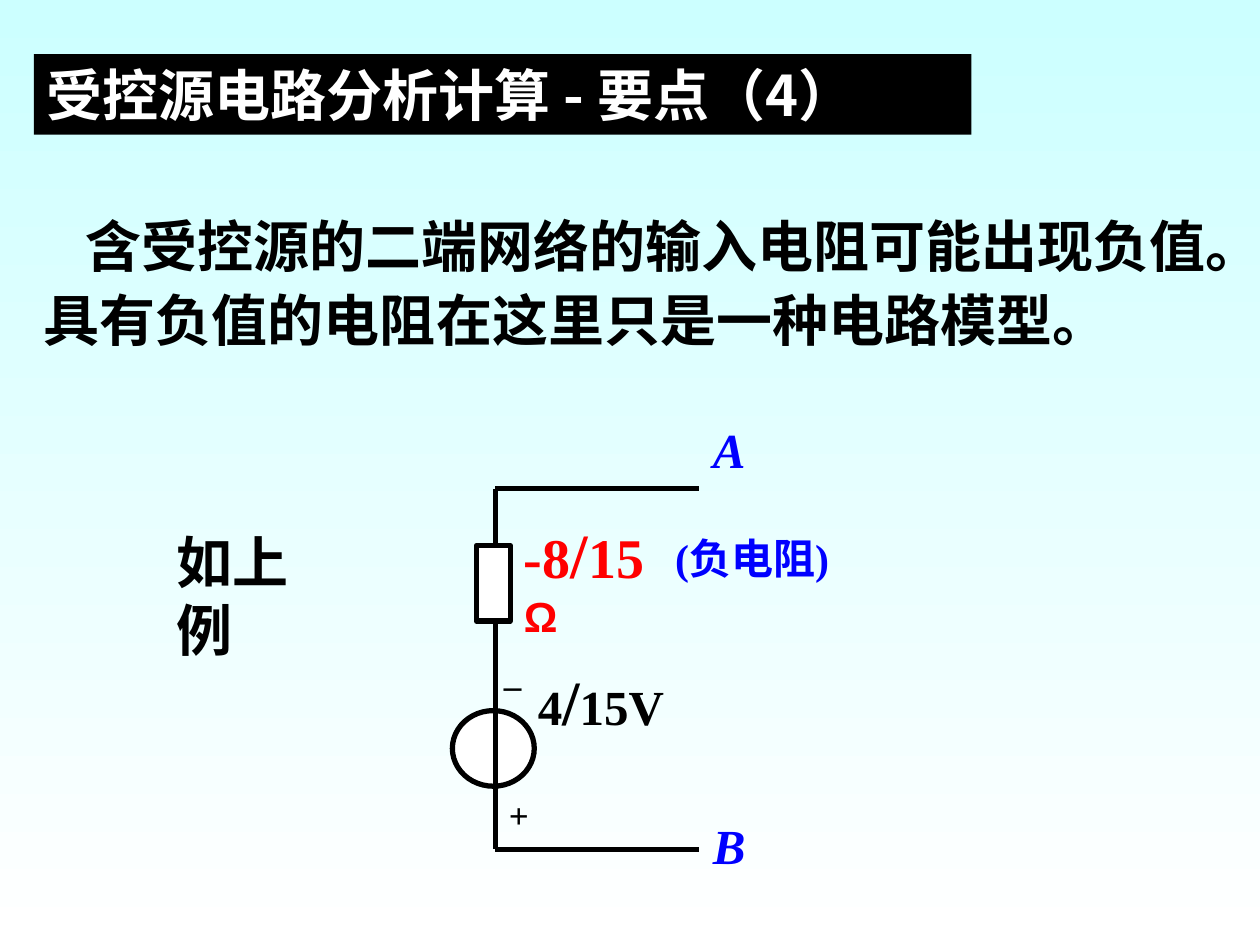
from lxml import etree
from pptx import Presentation, util as u
from pptx.dml.color import RGBColor
from pptx.enum import shapes, text
from pptx.oxml.ns import qn

COLORS = {"black": "000000", "white": "FFFFFF", "sky": "CCFFFF",
          "red": "FF0000", "blue": "0000FF"}
LATIN, CHINESE = "Times New Roman", "Noto Sans CJK SC"


def rgb(name):
    return RGBColor.from_string(COLORS[name])


def write(paragraph, words, size=32, color="black", font=LATIN, italic=False):
    """Add one bold run of text to a paragraph."""
    run = paragraph.add_run()
    run.text = words
    run.font.size = u.Pt(size)
    run.font.bold = True
    run.font.italic = italic
    run.font.name = font
    run.font.color.rgb = rgb(color)
    east_asian = etree.SubElement(run.font._element, qn("a:ea"))
    east_asian.set("typeface", CHINESE)


class CircuitSlide:
    line_width = u.Pt(3)

    def __init__(self, slide):
        self.slide = slide

    def background(self, top, bottom):
        fill = self.slide.background.fill
        fill.gradient()
        fill.gradient_angle = 270
        for stop, color, position in zip(fill.gradient_stops, (top, bottom), (0, 1)):
            stop.color.rgb = rgb(color)
            stop.position = position

    def label(self, box, *runs, wrap=False, fill=None):
        """Place a text box; each run is (words, format)."""
        area = self.slide.shapes.add_textbox(*map(u.Inches, box))
        if fill:
            area.fill.solid()
            area.fill.fore_color.rgb = rgb(fill)
        frame = area.text_frame
        frame.word_wrap = wrap
        frame.auto_size = text.MSO_AUTO_SIZE.SHAPE_TO_FIT_TEXT
        paragraph = frame.paragraphs[0]
        for words, style in runs:
            write(paragraph, words, **style)
        return paragraph

    def component(self, preset, box):
        part = self.slide.shapes.add_shape(preset, *map(u.Inches, box))
        part.shadow.inherit = False
        part.fill.solid()
        part.fill.fore_color.rgb = rgb("white")
        part.line.color.rgb = rgb("black")
        part.line.width = self.line_width

    def wire(self, start, end):
        ends = map(u.Inches, (*start, *end))
        wire = self.slide.shapes.add_connector(shapes.MSO_CONNECTOR.STRAIGHT, *ends)
        wire.line.color.rgb = rgb("black")
        wire.line.width = self.line_width
        etree.SubElement(wire._element.spPr, qn("a:effectLst"))


def main():
    deck = Presentation()
    deck.slide_width, deck.slide_height = u.Inches(10), u.Inches(7.5)
    page = CircuitSlide(deck.slides.add_slide(deck.slide_layouts[6]))
    page.background("sky", "white")

    # Title and statement
    page.label((0.27, 0.43, 7.44, 0.64),
               ("受控源电路分析计算 - 要点（4）", {"font": CHINESE, "color": "white"}),
               fill="black")
    statement = page.label(
        (0.25, 1.58, 9.43, 1.28),
        ("含受控源的二端网络的输入电阻可能出现负值。具有负值的电阻在这里只是一种电路模型。", {}),
        wrap=True)
    statement.line_spacing = 1.1
    statement._p.get_or_add_pPr().set("indent", str(u.Inches(0.33)))

    # Circuit: source, branch wire, resistor, terminal wires
    branch_x, terminal_x, top_y, bottom_y = 3.93, 5.55, 3.88, 6.74
    page.component(shapes.MSO_SHAPE.OVAL, (3.59, 5.64, 0.65, 0.6))
    page.wire((branch_x, top_y), (branch_x, bottom_y))
    page.component(shapes.MSO_SHAPE.RECTANGLE, (3.78, 4.33, 0.27, 0.6))
    for y in (top_y, bottom_y):
        page.wire((branch_x, y), (terminal_x, y))

    # Terminal names
    for name, y in (("A", 3.28), ("B", 6.42)):
        page.label((5.56, y, 0.46, 0.57),
                   (name, {"size": 28, "color": "blue", "italic": True}))

    # Values and polarity
    red = {"color": "red"}
    page.label((4.06, 4.04, 1.35, 0.7),
               ("-8", red), ("/", {"size": 36, **red}), ("15", red),
               ("Ω", {"size": 24, "font": "Arial", **red}), wrap=True)
    page.label((3.94, 6.25, 0.36, 0.44), ("+", {"size": 20}))
    page.label((3.9, 5.12, 0.34, 0.44), ("_", {"size": 20}))
    page.label((4.17, 5.21, 1.2, 0.7),
               ("4", {"size": 28}), ("/", {"size": 36}), ("15V", {"size": 28}))

    # Remarks
    page.label((5.26, 4.18, 1.58, 0.5), ("(负电阻)", {"size": 24, "color": "blue"}))
    page.label((1.3, 4.14, 1.53, 0.64), ("如上例", {}))

    deck.save("out.pptx")


if __name__ == "__main__":
    main()
